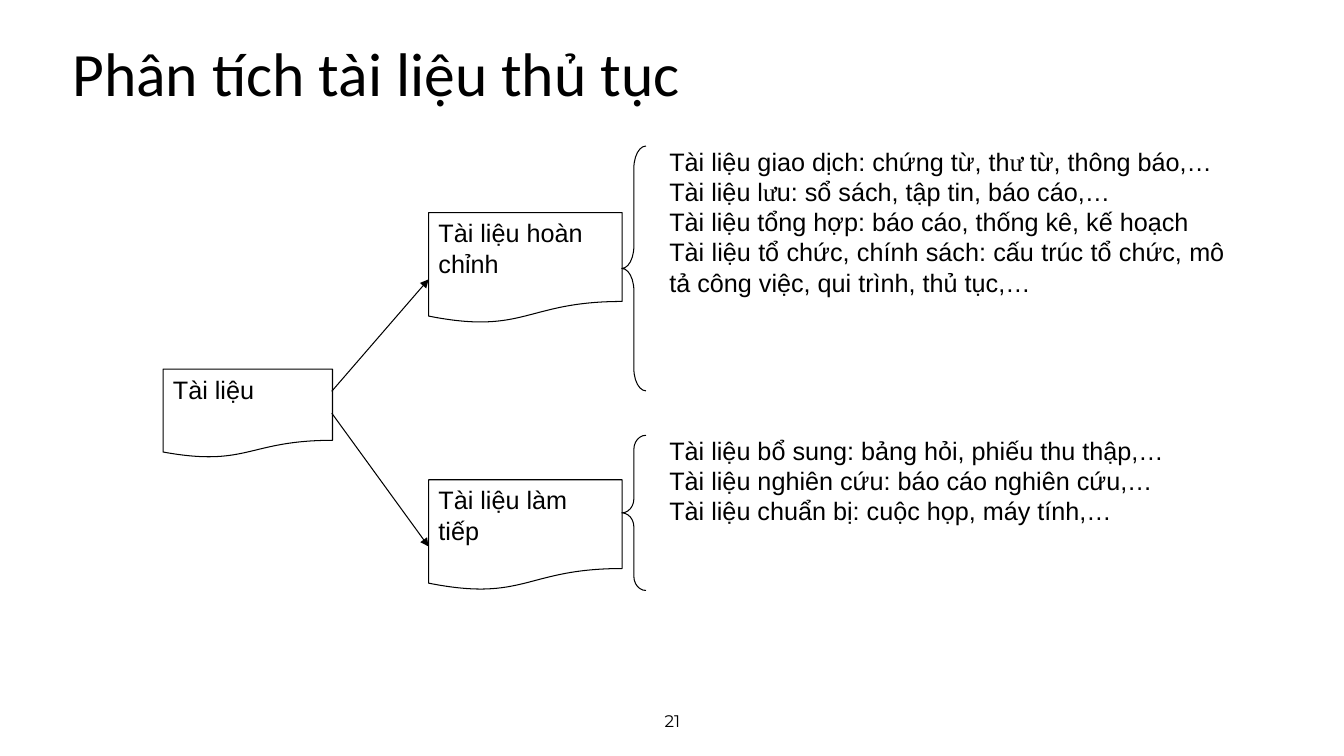
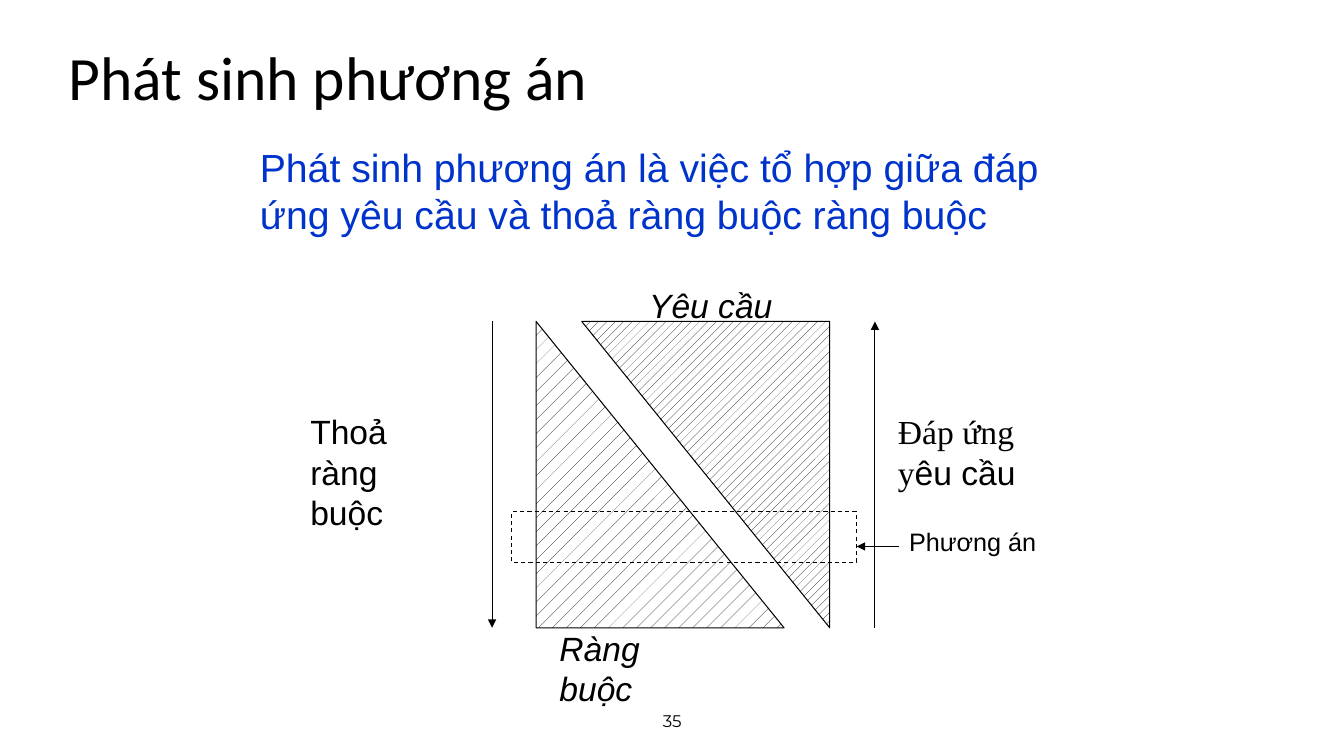
from lxml.etree import SubElement
from pptx import Presentation
from pptx.dml.color import RGBColor
from pptx.enum.dml import MSO_LINE, MSO_PATTERN
from pptx.enum.shapes import MSO_CONNECTOR, MSO_SHAPE
from pptx.enum.text import MSO_ANCHOR, MSO_AUTO_SIZE, PP_ALIGN
from pptx.oxml.ns import qn
from pptx.util import Cm, Pt

COLORS = {"ink": "000000", "paper": "FFFFFF", "statement": "0033CC"}
SERIF = "Times New Roman"
TITLE_ONLY = 5


def color(name):
    return RGBColor.from_string(COLORS[name])


def write_text(frame, text, size=18, font="Arial", ink="ink", italic=False,
               align=PP_ALIGN.LEFT, anchor=MSO_ANCHOR.TOP, spacing=None,
               margins=None, wrap=True):
    """Write a string, or a list of paragraphs made of strings and (string, font) runs."""
    frame.auto_size = MSO_AUTO_SIZE.NONE
    frame.word_wrap = wrap
    frame.vertical_anchor = anchor
    if margins is not None:
        frame.margin_left = frame.margin_right = margins
        frame.margin_top = frame.margin_bottom = margins
    paragraphs = [[text]] if isinstance(text, str) else text
    for index, pieces in enumerate(paragraphs):
        paragraph = frame.add_paragraph() if index else frame.paragraphs[0]
        paragraph.alignment = align
        if spacing:
            paragraph.line_spacing = spacing
        for piece in pieces:
            words, typeface = (piece, font) if isinstance(piece, str) else piece
            run = paragraph.add_run()
            run.text = words
            run.font.size = Pt(size)
            run.font.name = typeface
            run.font.italic = italic
            run.font.color.rgb = color(ink)


class Deck:
    line_width = Pt(0.75)

    def __init__(self):
        self.presentation = Presentation()
        self.presentation.slide_width = Cm(33.87)
        self.presentation.slide_height = Cm(19.05)
        self.slide = None

    def start_slide(self, title, number, left, top, height):
        layout = self.presentation.slide_layouts[TITLE_ONLY]
        self.slide = self.presentation.slides.add_slide(layout)
        placeholder = self.slide.shapes.title
        placeholder.left, placeholder.top = Cm(left), Cm(top)
        placeholder.width, placeholder.height = Cm(22.86), Cm(height)
        write_text(placeholder.text_frame, title, size=44, font="Calibri",
                   anchor=MSO_ANCHOR.MIDDLE, spacing=0.9)
        self.text(number, 11.23, 17.65, 11.43, 1.02, size=12, font="Montserrat",
                  align=PP_ALIGN.CENTER, anchor=MSO_ANCHOR.MIDDLE)

    def text(self, text, left, top, width, height, **text_format):
        box = self.slide.shapes.add_textbox(Cm(left), Cm(top), Cm(width), Cm(height))
        write_text(box.text_frame, text, **text_format)

    def shape(self, kind, left, top, width, height, fill=None, pattern=None, dash=None):
        shape = self.slide.shapes.add_shape(kind, Cm(left), Cm(top), Cm(width), Cm(height))
        shape.shadow.inherit = False
        if pattern:
            shape.fill.patterned()
            shape.fill.pattern = pattern
            shape.fill.fore_color.rgb = color("ink")
            shape.fill.back_color.rgb = color("paper")
        elif fill:
            shape.fill.solid()
            shape.fill.fore_color.rgb = color(fill)
        else:
            shape.fill.background()
        self.style_line(shape.line)
        if dash:
            shape.line.dash_style = dash
        return shape

    def style_line(self, line):
        line.color.rgb = color("ink")
        line.width = self.line_width

    def document(self, text, left, top, width, height):
        shape = self.shape(MSO_SHAPE.FLOWCHART_DOCUMENT, left, top, width, height, fill="paper")
        write_text(shape.text_frame, text)

    def brace(self, left, top, width, height, curve):
        shape = self.shape(MSO_SHAPE.LEFT_BRACE, left, top, width, height)
        shape.adjustments[0] = curve
        shape.adjustments[1] = 0.5

    def arrow(self, start, end):
        points = [Cm(value) for value in (*start, *end)]
        connector = self.slide.shapes.add_connector(MSO_CONNECTOR.STRAIGHT, *points)
        self.style_line(connector.line)
        properties = connector.line._get_or_add_ln()
        SubElement(properties, qn("a:tailEnd"), type="triangle")
        SubElement(connector._element.spPr, qn("a:effectLst"))


def build_document_analysis(deck):
    deck.start_slide("Phân tích tài liệu thủ tục", "21", 1.57, 0.76, 2.34)
    deck.document("Tài liệu", 4.11, 9.3, 4.27, 2.24)

    complete = [
        ["Tài liệu giao dịch: chứng từ, th", ("ư ", SERIF), "từ, thông báo,…"],
        ["Tài liệu l", ("ư", SERIF), "u: sổ sách, tập tin, báo cáo,…"],
        ["Tài liệu tổng hợp: báo cáo, thống kê, kế hoạch"],
        ["Tài liệu tổ chức, chính sách: cấu trúc tổ chức, mô tả công việc, "
         "qui trình, thủ tục,…"],
    ]
    continued = [
        ["Tài liệu bổ sung: bảng hỏi, phiếu thu thập,…"],
        ["Tài liệu nghiên cứu: báo cáo nghiên cứu,…"],
        ["Tài liệu chuẩn bị: cuộc họp, máy tính,…"],
    ]
    branches = [
        # name, document top, arrow start, arrow end, brace top, height, curve, list height, list
        ("Tài liệu hoàn chỉnh", 5.36, 9.86, 7.04, 3.68, 6.17, 0.92, 6.73, complete),
        ("Tài liệu làm tiếp", 12.09, 10.41, 13.77, 10.97, 3.91, 0.58, 4.5, continued),
    ]
    for name, top, start, end, brace_top, brace_height, curve, list_height, items in branches:
        deck.document(name, 10.8, top, 4.88, 2.79)
        deck.arrow((8.36, start), (10.8, end))
        deck.brace(15.67, brace_top, 0.61, brace_height, curve)
        deck.text(items, 16.87, brace_top, 14, list_height, align=PP_ALIGN.JUSTIFY, margins=0)


def build_alternatives(deck):
    deck.start_slide("Phát sinh phương án", "35", 1.47, 0.97, 2.11)
    deck.text("Phát sinh phương án là việc tổ hợp giữa đáp ứng yêu cầu và thoả "
              "ràng buộc ràng buộc", 6.3, 3.48, 21.41, 2.62, size=28, ink="statement")

    top, height = 8.1, 7.72
    bottom = top + height
    triangles = [(13.51, 0, MSO_PATTERN.PERCENT_5), (14.66, 180, MSO_PATTERN.PERCENT_20)]
    for left, rotation, pattern in triangles:
        triangle = deck.shape(MSO_SHAPE.RIGHT_TRIANGLE, left, top, 6.25, height, pattern=pattern)
        triangle.rotation = rotation
    deck.arrow((22.05, bottom), (22.05, top))
    deck.arrow((12.4, top), (12.4, bottom))

    labels = [
        ([[("Đáp ứng y", SERIF), "êu cầu"]], 22.63, 10.36, 2.26, False),
        ("Thoả ràng buộc", 7.82, 10.36, 2.26, False),
        ("Ràng buộc", 14.1, bottom, 0.91, True),
        ("Yêu cầu", 16.36, 7.19, 0.91, True),
    ]
    for text, left, label_top, label_height, italic in labels:
        deck.text(text, left, label_top, 3.4, label_height, size=24, italic=italic, margins=0)

    deck.shape(MSO_SHAPE.RECTANGLE, 12.9, 12.9, 8.69, 1.27, dash=MSO_LINE.DASH)
    deck.text("Phương án", 22.66, 13.13, 3.71, 1.02, wrap=False)
    deck.arrow((22.66, 13.77), (21.59, 13.77))


def main():
    deck = Deck()
    build_document_analysis(deck)
    build_alternatives(deck)
    deck.presentation.save("out.pptx")


if __name__ == "__main__":
    main()
